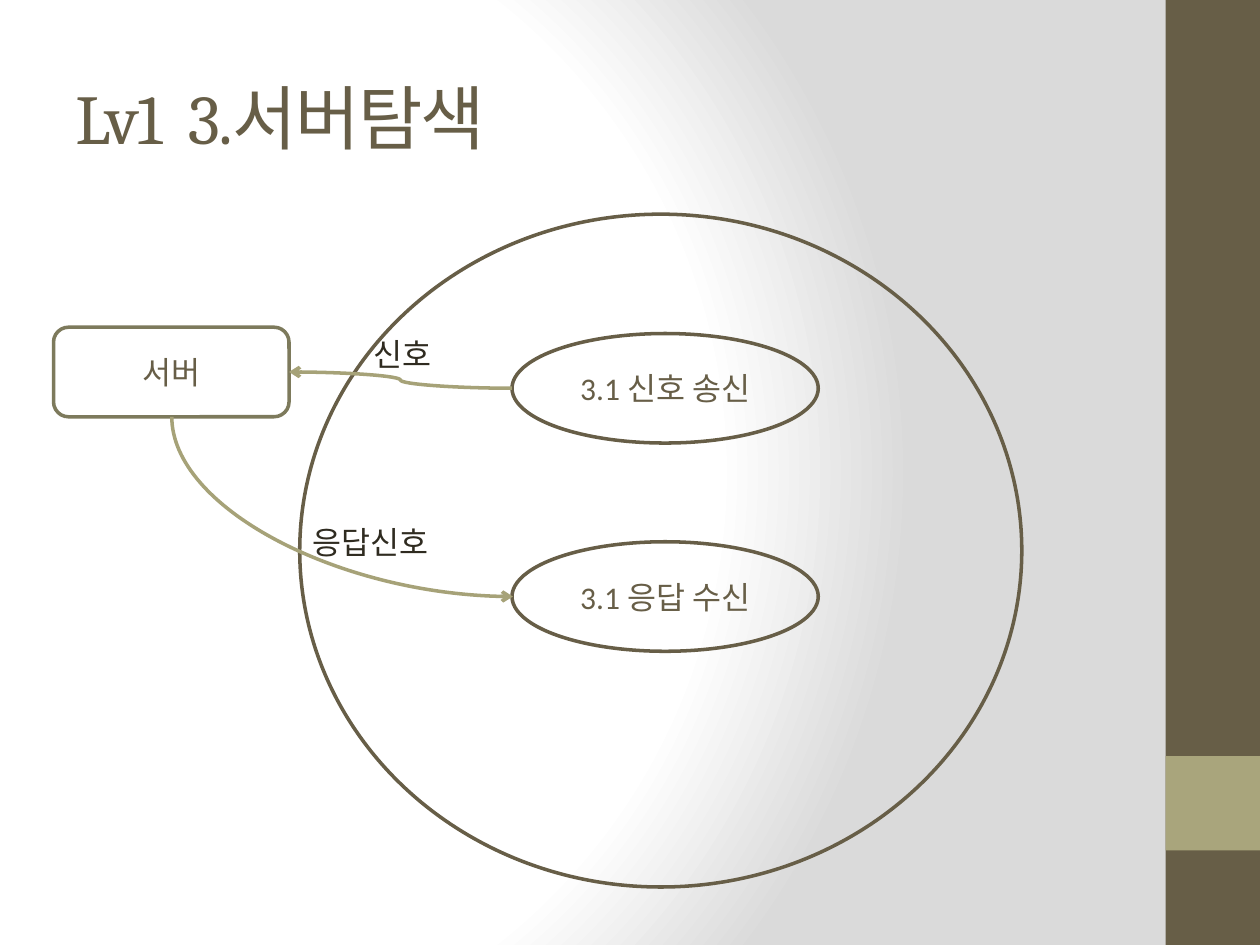
from lxml import etree
from pptx import Presentation
from pptx.dml.color import RGBColor
from pptx.enum.shapes import MSO_CONNECTOR, MSO_SHAPE
from pptx.enum.text import MSO_ANCHOR, MSO_AUTO_SIZE, PP_ALIGN
from pptx.oxml import parse_xml
from pptx.oxml.ns import nsdecls, qn
from pptx.util import Pt

THEME = {
    "brown": "675E47", "olive": "A9A57C", "box": "7D7A5C", "arrow": "A6A278",
    "ink": "2F2B20", "paper": "FFFFFF", "shade": "DADADA",
    "heading": "Cambria", "body": "Calibri", "title_size": 40, "text_size": 18,
    "line": 2,
}

prs = Presentation()
prs.slide_width, prs.slide_height = Pt(720), Pt(540)
slide = prs.slides.add_slide(prs.slide_layouts[6])
shapes = slide.shapes


def write(shape, text, color, font="body", size="text_size"):
    """Put one styled line of text in a shape and return its run."""
    run = shape.text_frame.paragraphs[0].add_run()
    run.text = text
    run.font.name = THEME[font]
    run.font.size = Pt(THEME[size])
    run.font.color.rgb = RGBColor.from_string(THEME[color])
    return run


def add_block(kind, box, fill=None, line=None, text=None):
    """Add a preset shape with an optional fill, outline and centred label."""
    shape = shapes.add_shape(kind, *map(Pt, box))
    shape.shadow.inherit = False
    for part, color in ((shape.fill, fill), (shape.line.fill, line)):
        if color:
            part.solid()
            part.fore_color.rgb = RGBColor.from_string(THEME[color])
        else:
            part.background()
    if line:
        shape.line.width = Pt(THEME["line"])
    if text:
        shape.text_frame.vertical_anchor = MSO_ANCHOR.MIDDLE
        shape.text_frame.paragraphs[0].alignment = PP_ALIGN.CENTER
        write(shape, text, "brown")


# Background: radial gradient
stops = "".join(
    f'<a:gs pos="{pos * 1000}"><a:srgbClr val="{THEME[color]}"/></a:gs>'
    for pos, color in ((0, "paper"), (75, "paper"), (100, "shade")))
slide.element.cSld.insert(0, parse_xml(
    f'<p:bg {nsdecls("p", "a")}><p:bgPr><a:gradFill rotWithShape="1">'
    f'<a:gsLst>{stops}</a:gsLst><a:path path="circle">'
    '<a:fillToRect l="20000" t="50000" r="100000" b="50000"/></a:path>'
    '</a:gradFill><a:effectLst/></p:bgPr></p:bg>'))

# Side band
add_block(MSO_SHAPE.RECTANGLE, (666, 0, 54, 540), fill="brown")
add_block(MSO_SHAPE.RECTANGLE, (666, 432, 54, 54), fill="olive")

# Title
title = shapes.add_textbox(Pt(36), Pt(21.6), Pt(600), Pt(90))
title.text_frame.word_wrap = True
title.text_frame.vertical_anchor = MSO_ANCHOR.MIDDLE
title_run = write(title, "Lv1  3.서버탐색 ", "brown", "heading", "title_size")
title_run.font._element.set("spc", "-100")

# System boundary, server and processes
add_block(MSO_SHAPE.OVAL, (171.3, 122.4, 412.6, 384.5), line="brown")
add_block(MSO_SHAPE.ROUNDED_RECTANGLE, (30.6, 187, 134.6, 51.2),
          line="box", text="서버")
for top, process in ((190.6, "3.1 신호 송신"), (309.6, "3.1 응답 수신")):
    add_block(MSO_SHAPE.OVAL, (292.6, top, 175, 62.6), line="brown", text=process)

# Signal flows
signal = shapes.add_connector(
    MSO_CONNECTOR.CURVE, Pt(292.6), Pt(221.9), Pt(165.2), Pt(212.6))
reply = shapes.add_connector(
    MSO_CONNECTOR.CURVE, Pt(144.3), Pt(192.1), Pt(247), Pt(387))
reply.rotation = 270 if hasattr(reply, "rotation") else 0
reply_frame = reply._element.spPr.find(qn("a:xfrm"))
reply_frame.set("rot", str(270 * 60000))
reply_frame.set("flipH", "1")
reply._element.spPr.find(qn("a:prstGeom")).set("prst", "curvedConnector2")
for flow in (signal, reply):
    flow.line.color.rgb = RGBColor.from_string(THEME["arrow"])
    flow.line.width = Pt(THEME["line"])
    etree.SubElement(flow.line._get_or_add_ln(), qn("a:tailEnd"), type="arrow")
    etree.SubElement(flow._element.spPr, qn("a:effectLst"))

# Flow labels
for left, top, width, label in ((206.6, 187.9, 85.7, "신호"),
                                (171.3, 295.2, 100, "응답신호")):
    box = shapes.add_textbox(Pt(left), Pt(top), Pt(width), Pt(29))
    box.text_frame.word_wrap = True
    box.text_frame.auto_size = MSO_AUTO_SIZE.SHAPE_TO_FIT_TEXT
    write(box, label, "ink")

prs.save("out.pptx")
